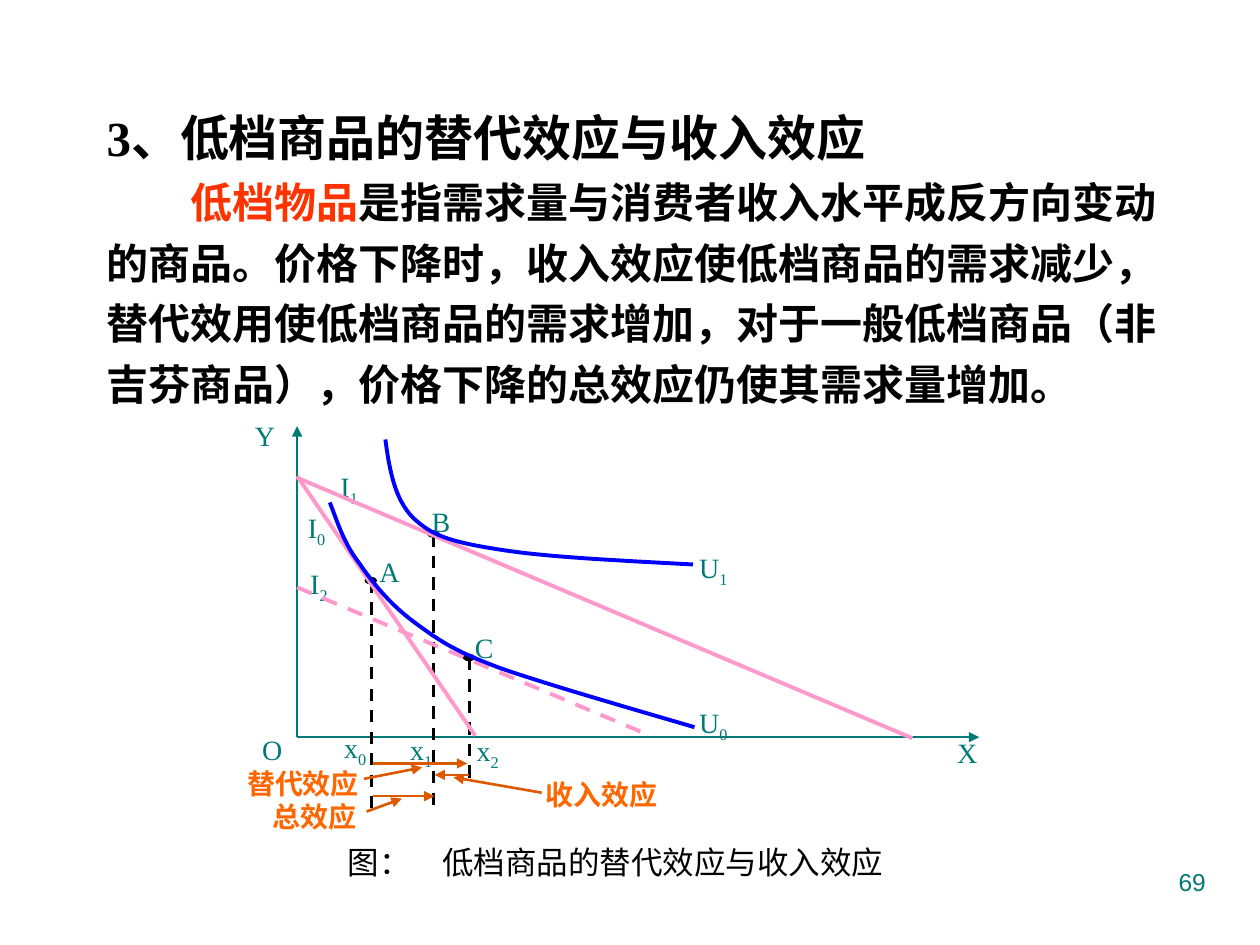
from pptx import Presentation
from pptx.dml.color import RGBColor
from pptx.enum.dml import MSO_LINE
from pptx.enum.shapes import MSO_CONNECTOR, MSO_SHAPE
from pptx.enum.text import MSO_ANCHOR, MSO_AUTO_SIZE, PP_ALIGN
from pptx.oxml.ns import qn
from pptx.util import Cm, Pt
from lxml import etree

BLACK = RGBColor(0x00, 0x00, 0x00)
TEAL = RGBColor(0x00, 0x7A, 0x77)
RED = RGBColor(0xFF, 0x33, 0x00)
ORANGE = RGBColor(0xFF, 0x66, 0x00)
RUST = RGBColor(0xDC, 0x59, 0x00)
PINK = RGBColor(0xFF, 0x99, 0xCC)
BLUE = RGBColor(0x00, 0x00, 0xFF)
SERIF, CHINESE, SANS = "Times New Roman", "Noto Sans CJK SC", "Arial"
LEFT, CENTER, RIGHT = PP_ALIGN.LEFT, PP_ALIGN.CENTER, PP_ALIGN.RIGHT
TOP, NO_FIT = MSO_ANCHOR.TOP, MSO_AUTO_SIZE.NONE
DASH, STRAIGHT, OVAL = MSO_LINE.DASH, MSO_CONNECTOR.STRAIGHT, MSO_SHAPE.OVAL
TITLE_ONLY = 5
CURVE_STEPS = 16


def add_run(paragraph, text, size, color, font=SERIF, bold=False, subscript=False):
    """Append one formatted run to a paragraph."""
    run = paragraph.add_run()
    run.text = text
    run.font.size = Pt(size)
    run.font.bold = bold
    run.font.name = font
    run.font.color.rgb = color
    properties = run.font._element
    etree.SubElement(properties, qn("a:ea")).set("typeface", CHINESE)
    if subscript:
        properties.set("baseline", "-25000")


def prepare_frame(shape, align, inset=(0.25, 0.13)):
    """Set wrapping, margins and alignment, and return the first paragraph."""
    frame = shape.text_frame
    frame.word_wrap = True
    frame.auto_size = NO_FIT
    frame.vertical_anchor = TOP
    frame.margin_left = frame.margin_right = Cm(inset[0])
    frame.margin_top = frame.margin_bottom = Cm(inset[1])
    paragraph = frame.paragraphs[0]
    paragraph.alignment = align
    return paragraph


def add_text_box(slide, left, top, width, height, align, inset=(0.25, 0.13)):
    """Add a text box in centimetres and return its first paragraph."""
    box = slide.shapes.add_textbox(Cm(left), Cm(top), Cm(width), Cm(height))
    return prepare_frame(box, align, inset)


def add_line(slide, box, start, end, color, width, dash=None, arrow=False):
    """Draw a straight connector between two points of the box."""
    left, top = box
    line = slide.shapes.add_connector(
        STRAIGHT, Cm(left + start[0]), Cm(top + start[1]), Cm(left + end[0]), Cm(top + end[1]))
    line.line.color.rgb = color
    line.line.width = Pt(width)
    if dash:
        line.line.dash_style = dash
    if arrow:
        etree.SubElement(line.line._get_or_add_ln(), qn("a:tailEnd")).set("type", "triangle")
    etree.SubElement(line._element.spPr, qn("a:effectLst"))


def add_label(slide, box, left, top, text, subscript=""):
    """Add a teal symbol with an optional subscript."""
    paragraph = add_text_box(slide, box[0] + left, box[1] + top, 1.68, 0.86, CENTER, (0.15, 0.1))
    add_run(paragraph, text, 16, TEAL)
    if subscript:
        add_run(paragraph, subscript, 16, TEAL, subscript=True)


def add_curve(slide, box, points):
    """Draw a chain of cubic Bezier segments as an open outline."""
    left, top = box
    vertices = []
    for first in range(0, len(points) - 1, 3):
        segment = points[first:first + 4]
        for step in range(1, CURVE_STEPS + 1):
            t = step / CURVE_STEPS
            weights = ((1 - t) ** 3, 3 * t * (1 - t) ** 2, 3 * t * t * (1 - t), t ** 3)
            x, y = (sum(w * point[axis] for w, point in zip(weights, segment)) for axis in (0, 1))
            vertices.append((Cm(left + x), Cm(top + y)))
    builder = slide.shapes.build_freeform(Cm(left + points[0][0]), Cm(top + points[0][1]))
    builder.add_line_segments(vertices, close=False)
    curve = builder.convert_to_shape()
    curve.shadow.inherit = False
    curve.fill.background()
    curve.line.color.rgb = BLUE
    curve.line.width = Pt(2.25)


def add_heading(slide, left, top, width):
    """Place the title and the explanation below it."""
    title = slide.shapes.title
    title.left, title.top, title.width, title.height = Cm(left), Cm(top), Cm(width), Cm(1.68)
    paragraph = prepare_frame(title, LEFT)
    paragraph.line_spacing = Pt(40.3)
    add_run(paragraph, "3、低档商品的替代效应与收入效应", 28, BLACK, bold=True)

    paragraph = add_text_box(slide, left, top + 1.43, width, 5.13, LEFT)
    paragraph.line_spacing = Pt(34.6)
    paragraph._p.get_or_add_pPr().set("indent", str(Pt(48)))
    for text, font, color in (
            ("低档物品", CHINESE, RED),
            ("是指需求量与消费者收入水平成反方向变动的商品。", CHINESE, BLACK),
            ("价格下降时，收入效应使低档商品的需求减少，替代效用使", SERIF, BLACK),
            ("低档", CHINESE, BLACK),
            ("商品的需求增加，对于一般", SERIF, BLACK),
            ("低档", CHINESE, BLACK),
            ("商品（非吉芬商品），价格下降的总效应仍使其需求量增加。", SERIF, BLACK)):
        add_run(paragraph, text, 24, color, font, bold=True)


def add_diagram(slide, box):
    """Draw the indifference curves, budget lines and effect arrows."""
    origin = (1.49, 6.56)
    for end in ((1.49, 0.29), (15.24, 6.56)):
        add_line(slide, box, origin, end, TEAL, 1.5, arrow=True)

    for x, y, bottom in ((2.98, 3.41, 8.01), (4.24, 2.47, 8.01), (4.96, 4.96, 7.45)):
        dot = slide.shapes.add_shape(
            OVAL, Cm(box[0] + x - 0.13), Cm(box[1] + y - 0.08), Cm(0.25), Cm(0.15))
        dot.shadow.inherit = False
        dot.fill.solid()
        dot.fill.fore_color.rgb = BLACK
        dot.line.fill.background()
        add_line(slide, box, (x, y), (x, bottom), BLACK, 1.75, DASH)

    for label in (
            (0.15, 6.36, "O"), (14.16, 6.43, "X"), (0, 0.03, "Y"),
            (2.51, 2.77, "A"), (3.55, 1.78, "B"), (4.42, 4.32, "C"),
            (9.04, 5.82, "U", "0"), (9.04, 2.7, "U", "1"),
            (1.04, 1.89, "I", "0"), (1.7, 1.07, "I", "1"), (1.09, 3.03, "I", "2"),
            (1.82, 6.33, "x", "0"), (3.15, 6.36, "x", "1"), (4.49, 6.38, "x", "2")):
        add_label(slide, box, *label)

    for start, end, dash in (
            ((1.49, 1.3), (5.08, 6.53), None),
            ((1.49, 3.54), (8.61, 6.53), DASH),
            ((1.49, 1.33), (13.89, 6.58), None)):
        add_line(slide, box, start, end, PINK, 2.25, dash)

    add_curve(slide, box, (
        (3.27, 0.56), (3.35, 1.15), (3.45, 1.76), (3.83, 2.14), (4.21, 2.5),
        (4.57, 2.62), (5.51, 2.77), (6.45, 2.93), (7.97, 3), (9.47, 3.08)))
    add_curve(slide, box, (
        (2.15, 1.83), (2.31, 2.24), (2.43, 2.65), (2.74, 3.05), (3.02, 3.46),
        (3.37, 3.89), (3.86, 4.25), (4.34, 4.6), (4.62, 4.81), (5.56, 5.16),
        (6.5, 5.49), (8, 5.92), (9.5, 6.36)))

    for text, left, top, effect, pointer in (
            ("替代效应", 0.2, 7.02, ((3.02, 7.09), (4.92, 7.09)), ((2.84, 7.4), (4.01, 7.17))),
            ("收入效应", 6.22, 7.24, ((4.95, 7.32), (4.26, 7.32)), ((6.42, 7.68), (4.64, 7.37))),
            ("总效应", 0.43, 7.68, ((3.02, 7.75), (4.26, 7.75)), ((2.89, 8.06), (3.6, 7.8)))):
        paragraph = add_text_box(
            slide, box[0] + left, box[1] + top, 2.82, 0.86, CENTER, (0.15, 0.1))
        paragraph.line_spacing = Pt(20)
        add_run(paragraph, text, 16, ORANGE, bold=True)
        for start, end in (effect, pointer):
            add_line(slide, box, start, end, RUST, 1.5, arrow=True)


def add_footer(slide, left, top):
    """Place the figure caption and the page number."""
    paragraph = add_text_box(slide, left, top, 12.42, 0.89, CENTER)
    paragraph.line_spacing = Pt(23)
    add_run(paragraph, "图：　低档商品的替代效应与收入效应", 18, BLACK, CHINESE)
    paragraph = add_text_box(slide, left + 12.01, top + 0.54, 6.35, 1.32, RIGHT)
    add_run(paragraph, "69", 14, TEAL, SANS)


def main():
    """Build the slide and save it."""
    presentation = Presentation()
    presentation.slide_width, presentation.slide_height = Cm(25.4), Cm(19.05)
    slide = presentation.slides.add_slide(presentation.slide_layouts[TITLE_ONLY])
    add_heading(slide, 1.9, 1.8, 22.2)
    add_diagram(slide, (4.5, 8.3))
    add_footer(slide, 6.2, 16.81)
    presentation.save("out.pptx")


if __name__ == "__main__":
    main()
